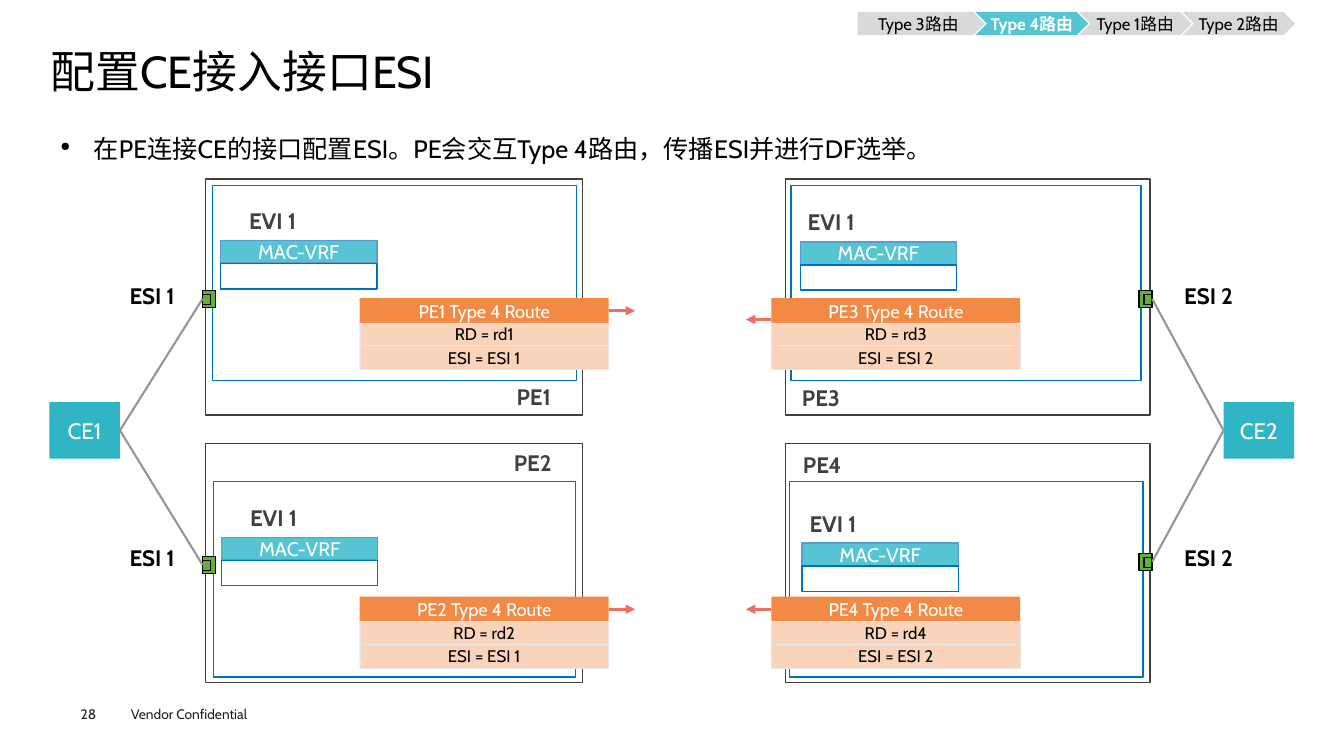
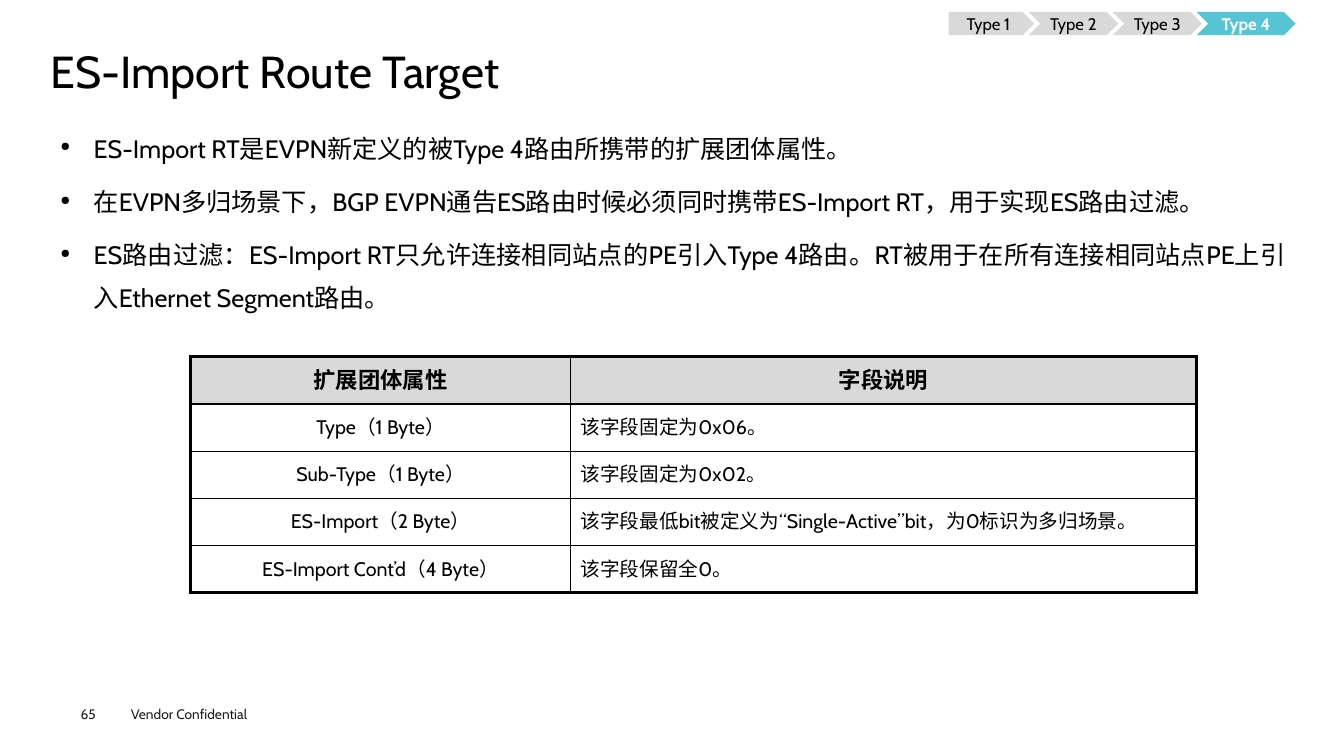
"""Build two slides on EVPN Type 4 routes: ESI configuration and the ES-Import route target."""
from lxml import etree
from pptx import Presentation
from pptx import util as u
from pptx.dml.color import RGBColor
from pptx.enum import shapes, text
from pptx.oxml import ns

FONT = "Cabin"
BLACK, WHITE, DARK, FOOTER = "000000", "FFFFFF", "404040", "1D1D1B"
TEAL, CE_TEAL, GREY, BLUE = "56C4D2", "30B5C5", "D9D9D9", "0070C0"
ORANGE, PEACH, RED, GREEN = "F28944", "FAD3BB", "EC7061", "62B230"
CABLE, ROUTE_EDGE, VRF_EDGE = "969696", "E7E6E6", "5B9BD5"
RECT = shapes.MSO_SHAPE.RECTANGLE
LEFT, CENTER = text.PP_ALIGN.LEFT, text.PP_ALIGN.CENTER
TOP, MIDDLE = text.MSO_ANCHOR.TOP, text.MSO_ANCHOR.MIDDLE
colour = RGBColor.from_string


def add_box(page, kind, area, fill=None, line=None, width=1):
    """Add a preset shape, or a text box when kind is None."""
    area = [u.Pt(length) for length in area]
    if kind is None:
        return page.shapes.add_textbox(*area)
    box = page.shapes.add_shape(kind, *area)
    box.shadow.inherit = False
    if fill:
        box.fill.solid()
        box.fill.fore_color.rgb = colour(fill)
    else:
        box.fill.background()
    if line:
        box.line.color.rgb = colour(line)
        box.line.width = u.Pt(width)
    else:
        box.line.fill.background()
    return box


def write(frame, lines, size, ink=BLACK, bold=False, align=CENTER,
          anchor=MIDDLE, inset=None, wrap=True):
    """Fill a text frame with one paragraph per line."""
    frame.word_wrap = wrap
    frame.vertical_anchor = anchor
    if inset is not None:
        frame.margin_left = frame.margin_right = u.Pt(inset)
        frame.margin_top = frame.margin_bottom = u.Pt(inset)
    for index, line in enumerate(lines):
        para = frame.add_paragraph() if index else frame.paragraphs[0]
        para.alignment = align
        span = para.add_run()
        span.text = line
        span.font.name = FONT
        span.font.size = u.Pt(size)
        span.font.bold = bold
        span.font.color.rgb = colour(ink)
        props = span.font._element
        props.set("lang", "zh-CN")
        etree.SubElement(props, ns.qn("a:ea"), typeface=FONT)


deck = Presentation()
deck.slide_width, deck.slide_height = u.Pt(960), u.Pt(540)

contents = [
    {
        "number": "28",
        "title": "配置CE接入接口ESI",
        "bullets": ["在PE连接CE的接口配置ESI。PE会交互Type 4路由，传播ESI并进行DF选举。"],
        "tabs": [("Type 3路由", 90.7), ("Type 4路由", 80.6),
                 ("Type 1路由", 80.6), ("Type 2路由", 80.6)],
        "current": 1, "tab_left": 612.7, "overlap": 6.7,
    },
    {
        "number": "65",
        "title": "ES-Import Route Target",
        "bullets": [
            "ES-Import RT是EVPN新定义的被Type 4路由所携带的扩展团体属性。",
            "在EVPN多归场景下，BGP EVPN通告ES路由时候必须同时携带ES-Import RT，用于实现ES路由过滤。",
            "ES路由过滤：ES-Import RT只允许连接相同站点的PE引入Type 4路由。"
            "RT被用于在所有连接相同站点PE上引入Ethernet Segment路由。",
        ],
        "tabs": [("Type 1", 61.2), ("Type 2", 64), ("Type 3", 64), ("Type 4", 70.6)],
        "current": 3, "tab_left": 677.5, "overlap": 4,
    },
]

pages = []
for content in contents:
    page = deck.slides.add_slide(deck.slide_layouts[6])
    pages.append(page)

    box = add_box(page, None, (86.4, 500.4, 115, 19.4))
    write(box.text_frame, ["Vendor Confidential"], 9.8, FOOTER, align=LEFT, anchor=TOP)
    box = add_box(page, None, (57.6, 504, 39.6, 11.5))
    write(box.text_frame, [content["number"]], 9.8, FOOTER, align=LEFT, anchor=TOP, inset=0)

    box = add_box(page, None, (36, 35.3, 889.2, 38.2))
    write(box.text_frame, [content["title"]], 32, align=LEFT, anchor=TOP, inset=0)
    box.text_frame.paragraphs[0].line_spacing = 0.9

    box = add_box(page, None, (36, 82.8, 889.2, 384.5))
    write(box.text_frame, content["bullets"], 18, align=text.PP_ALIGN.JUSTIFY, anchor=TOP)
    for index, para in enumerate(box.text_frame.paragraphs):
        props = para._p.get_or_add_pPr()
        props.set("marL", str(u.Pt(23.8)))
        props.set("indent", str(u.Pt(-23.8)))
        etree.SubElement(props, ns.qn("a:buSzPct"), val="50000")
        etree.SubElement(props, ns.qn("a:buChar"), char="●")
        para.line_spacing = 1.4
        para.space_before = u.Pt(7.9 if index else 0)

    left = content["tab_left"]
    for index, (label, width) in enumerate(content["tabs"]):
        kind = shapes.MSO_SHAPE.CHEVRON if index else shapes.MSO_SHAPE.PENTAGON
        current = index == content["current"]
        tab = add_box(page, kind, (left, 8.6, width, 16.6), TEAL if current else GREY)
        write(tab.text_frame, [label], 12, WHITE if current else BLACK, current, inset=0)
        left += width - content["overlap"]

network, attributes = pages

sides = [
    {"ce": "CE1", "ce_left": 35.3, "esi": "ESI 1", "esi_left": 82.8, "frame": (147, 269.3),
     "evi_shift": 10, "route_left": 257, "port_left": 144.7, "inner_port": 0,
     "arrow_end": 453.6, "outward": 1, "inward": 3},
    {"ce": "CE2", "ce_left": 874, "esi": "ESI 2", "esi_left": 837.4, "frame": (561, 260.5),
     "evi_shift": -5, "route_left": 551, "port_left": 813.6, "inner_port": 3.6,
     "arrow_end": 532.8, "outward": 3, "inward": 1},
]
rows = [
    {"frame": (128, 168.5), "instance": 132.5, "route": 213, "esi": 198},
    {"frame": (317, 170.5), "instance": 344, "route": 426.2, "esi": 385.2},
]
routers = [
    ("PE1", 0, 0, (360, 270), (152, 260), (157.7, 172), 207.4, 0),
    ("PE2", 0, 1, (359.3, 317), (152.5, 258.5), (158.4, 384), 397.4, 0),
    ("PE3", 1, 0, (565.2, 270.7), (565, 250), (571.7, 172.8), 207.4, 6.2),
    ("PE4", 1, 1, (566, 319), (564, 252.5), (573, 388), 395.3, 0),
]

for side in sides:
    side["box"] = add_box(network, RECT, (side["ce_left"], 287.3, 50.4, 40.3), CE_TEAL)
    write(side["box"].text_frame, [side["ce"]], 16, WHITE)

for name, column, band, label_at, instance, vrf, port_top, arrow_drop in routers:
    side, row = sides[column], rows[band]
    frame_left, frame_width = side["frame"]
    frame_top, frame_height = row["frame"]
    instance_left, instance_width = instance
    vrf_left, vrf_top = vrf
    add_box(network, RECT, (frame_left, frame_top, frame_width, frame_height), line=DARK)
    add_box(network, RECT, (instance_left, row["instance"], instance_width, 139.5), line=BLUE)

    evi_at = (vrf_left + side["evi_shift"], vrf_top - 27.4)
    esi_at = (side["esi_left"], row["esi"])
    for label, at, width, ink in ((name, label_at, 42.5, DARK), ("EVI 1", evi_at, 54, DARK),
                                  (side["esi"], esi_at, 51.8, BLACK)):
        box = add_box(network, None, (*at, width, 26.6))
        write(box.text_frame, [label], 16, ink, True, anchor=TOP, wrap=False)

    box = add_box(network, RECT, (vrf_left, vrf_top, 111.5, 16), TEAL, VRF_EDGE)
    write(box.text_frame, ["MAC-VRF"], 14, WHITE)
    add_box(network, RECT, (vrf_left, vrf_top + 16.4, 111.5, 18), line=BLUE)

    route_left, route_top = side["route_left"], row["route"]
    header = add_box(network, RECT, (route_left, route_top, 177.8, 18), ORANGE)
    write(header.text_frame, [f"{name} Type 4 Route"], 13, WHITE)
    for label, drop, height in ((f"RD = rd{name[-1]}", 17.6, 16.2),
                                (f"ESI = {side['esi']}", 33.8, 17.3)):
        box = add_box(network, RECT, (route_left, route_top + drop, 177.8, height),
                      PEACH, ROUTE_EDGE, 0.25)
        write(box.text_frame, [label], 12)

    port = add_box(network, RECT, (side["port_left"], port_top, 9.4, 12.2), GREEN, BLACK)
    add_box(network, RECT, (side["port_left"] + side["inner_port"], port_top + 2.9, 5.8, 7.2),
            GREEN, BLACK)

    arrow_y = u.Pt(route_top + 9 + arrow_drop)
    arrow = network.shapes.add_connector(
        shapes.MSO_CONNECTOR.STRAIGHT, u.Pt(route_left), arrow_y,
        u.Pt(side["arrow_end"]), arrow_y)
    if not arrow_drop:
        arrow.begin_connect(header, side["inward"])
    cable = network.shapes.add_connector(shapes.MSO_CONNECTOR.STRAIGHT, 0, 0, 0, 0)
    cable.begin_connect(port, side["outward"])
    cable.end_connect(side["box"], side["inward"])
    for link, ink, width in ((arrow, RED, 2.25), (cable, CABLE, 1.5)):
        link.line.color.rgb = colour(ink)
        link.line.width = u.Pt(width)
        etree.SubElement(link._element.spPr, ns.qn("a:effectLst"))
    etree.SubElement(arrow.line._get_or_add_ln(), ns.qn("a:tailEnd"), type="triangle")

fields = [
    ("扩展团体属性", "字段说明"),
    ("Type（1 Byte）", "该字段固定为0x06。"),
    ("Sub-Type（1 Byte）", "该字段固定为0x02。"),
    ("ES-Import（2 Byte）", "该字段最低bit被定义为“Single-Active”bit，为0标识为多归场景。"),
    ("ES-Import Cont’d（4 Byte）", "该字段保留全0。"),
]
widths = (271.4, 447.1)
table = attributes.shapes.add_table(
    len(fields), len(widths), u.Pt(136.1), u.Pt(254.9), u.Pt(sum(widths)), u.Pt(168.5)).table
table.first_row = table.horz_banding = False
for column, width in zip(table.columns, widths):
    column.width = u.Pt(width)
for row_index, field in enumerate(fields):
    table.rows[row_index].height = u.Pt(33.7)
    is_header = row_index == 0
    for column_index, label in enumerate(field):
        cell = table.cell(row_index, column_index)
        props = cell._tc.get_or_add_tcPr()
        outer_edges = (("a:lnL", column_index == 0),
                       ("a:lnR", column_index == len(widths) - 1),
                       ("a:lnT", is_header),
                       ("a:lnB", row_index == len(fields) - 1))
        for tag, is_outer in outer_edges:
            edge = etree.SubElement(props, ns.qn(tag), w=str(u.Pt(2.25 if is_outer else 1)))
            fill = etree.SubElement(edge, ns.qn("a:solidFill"))
            etree.SubElement(fill, ns.qn("a:srgbClr"), val=BLACK)
        if is_header:
            cell.fill.solid()
            cell.fill.fore_color.rgb = colour(GREY)
        else:
            cell.fill.background()
        write(cell.text_frame, [label], 16 if is_header else 14, bold=is_header,
              align=CENTER if is_header or column_index == 0 else LEFT)
        cell.vertical_anchor = MIDDLE

deck.save("out.pptx")
